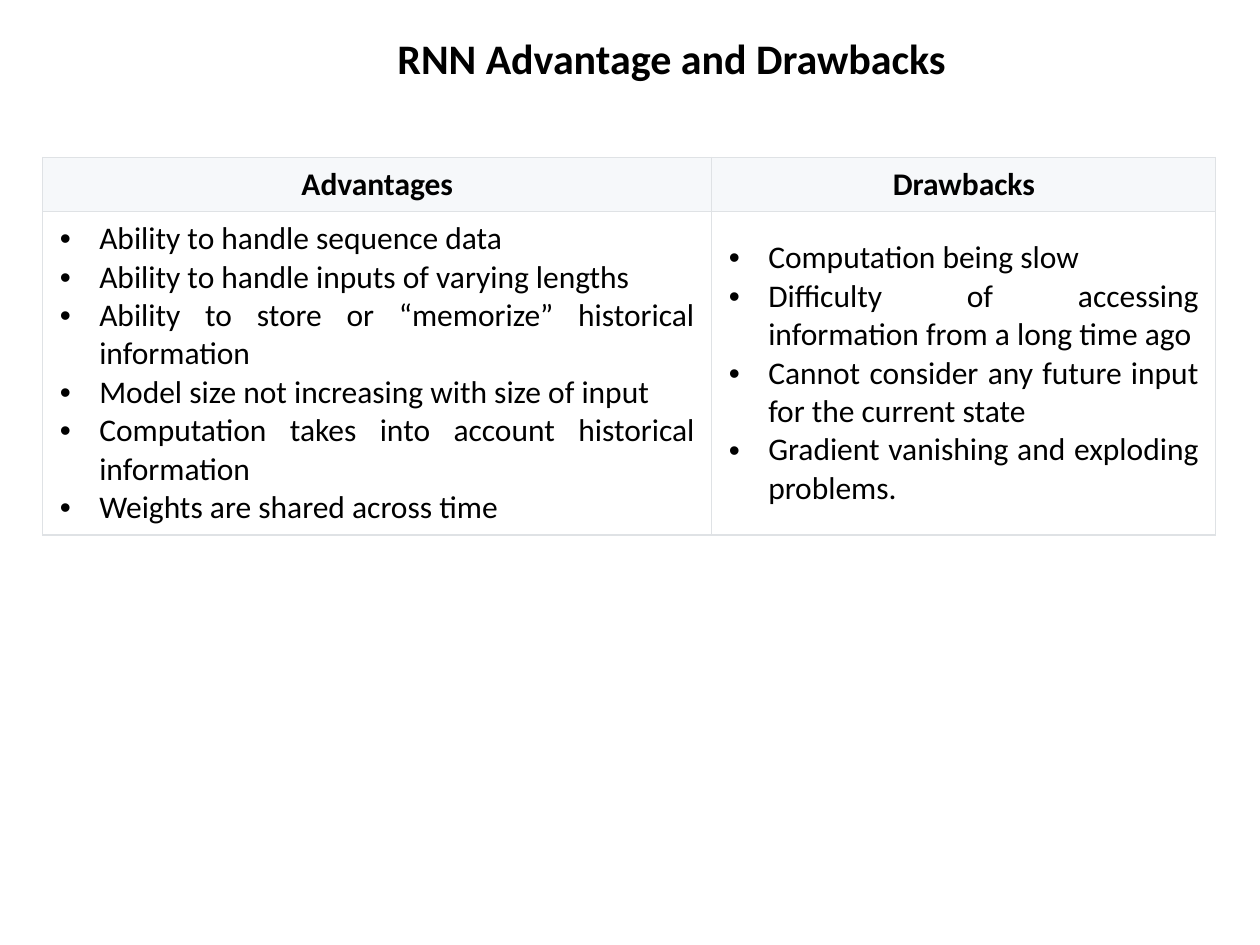
from dataclasses import dataclass

from lxml.etree import SubElement
from pptx import Presentation
from pptx.dml.color import RGBColor
from pptx.enum.text import MSO_ANCHOR, PP_ALIGN
from pptx.oxml.ns import qn
from pptx.table import _Cell
from pptx.text.text import _Paragraph
from pptx.util import Pt

BLACK = RGBColor(0x00, 0x00, 0x00)
WHITE = RGBColor(0xFF, 0xFF, 0xFF)
HEADER_GRAY = RGBColor(0xF6, 0xF8, 0xFA)
BORDER_GRAY = RGBColor(0xDF, 0xE2, 0xE5)
FONT = "Calibri"
BULLET_INDENT = Pt(22.5)
HEADER_HEIGHT, LIST_HEIGHT = Pt(30.6), Pt(184.4)


@dataclass
class Column:
    heading: str
    width: Pt
    points: list[str]


COLUMNS = [
    Column("Advantages", Pt(382.3), [
        "Ability to handle sequence data",
        "Ability to handle inputs of varying lengths",
        "Ability to store or “memorize” historical information",
        "Model size not increasing with size of input",
        "Computation takes into account historical information",
        "Weights are shared across time",
    ]),
    Column("Drawbacks", Pt(288), [
        "Computation being slow",
        "Difficulty of accessing information from a long time ago",
        "Cannot consider any future input for the current state",
        "Gradient vanishing and exploding problems.",
    ]),
]


def write(paragraph: _Paragraph, text: str, size: float, bold: bool, align: PP_ALIGN) -> None:
    paragraph.alignment = align
    run = paragraph.add_run()
    run.text = text
    run.font.name = FONT
    run.font.size = Pt(size)
    run.font.bold = bold
    run.font.color.rgb = BLACK


def add_bullet(paragraph: _Paragraph) -> None:
    properties = paragraph._p.get_or_add_pPr()
    properties.set("marL", str(BULLET_INDENT))
    properties.set("indent", str(-BULLET_INDENT))
    SubElement(properties, qn("a:buFont"), typeface="Arial")
    SubElement(properties, qn("a:buChar"), char="•")


def format_cell(cell: _Cell, fill: RGBColor) -> None:
    cell.vertical_anchor = MSO_ANCHOR.MIDDLE
    cell.margin_left = cell.margin_right = Pt(9.75)
    cell.margin_top = cell.margin_bottom = Pt(4.5)
    properties = cell._tc.get_or_add_tcPr()
    for side in ("lnL", "lnR", "lnT", "lnB"):
        border = SubElement(properties, qn(f"a:{side}"), w=str(Pt(0.75)))
        border_fill = SubElement(border, qn("a:solidFill"))
        SubElement(border_fill, qn("a:srgbClr"), val=str(BORDER_GRAY))
    cell.fill.solid()
    cell.fill.fore_color.rgb = fill


def fill_list(cell: _Cell, points: list[str]) -> None:
    frame = cell.text_frame
    for index, point in enumerate(points):
        paragraph = frame.add_paragraph() if index else frame.paragraphs[0]
        add_bullet(paragraph)
        write(paragraph, point, 18, False, PP_ALIGN.JUSTIFY)


def main() -> None:
    presentation = Presentation()
    presentation.slide_width, presentation.slide_height = Pt(720), Pt(540)
    slide = presentation.slides.add_slide(presentation.slide_layouts[5])

    title = slide.shapes.title
    title.left, title.top, title.width, title.height = Pt(203.8), Pt(15.1), Pt(360), Pt(36)
    title.text_frame.vertical_anchor = MSO_ANCHOR.TOP
    write(title.text_frame.paragraphs[0], "RNN Advantage and Drawbacks", 24, True, PP_ALIGN.CENTER)

    table_width = sum(column.width for column in COLUMNS)
    comparison = slide.shapes.add_table(
        2, len(COLUMNS), Pt(24.5), Pt(90), table_width, HEADER_HEIGHT + LIST_HEIGHT
    ).table
    comparison.rows[0].height = HEADER_HEIGHT
    comparison.rows[1].height = LIST_HEIGHT
    for index, column in enumerate(COLUMNS):
        comparison.columns[index].width = column.width
        heading, points = comparison.cell(0, index), comparison.cell(1, index)
        format_cell(heading, HEADER_GRAY)
        write(heading.text_frame.paragraphs[0], column.heading, 18, True, PP_ALIGN.CENTER)
        format_cell(points, WHITE)
        fill_list(points, column.points)

    presentation.save("out.pptx")


if __name__ == "__main__":
    main()
